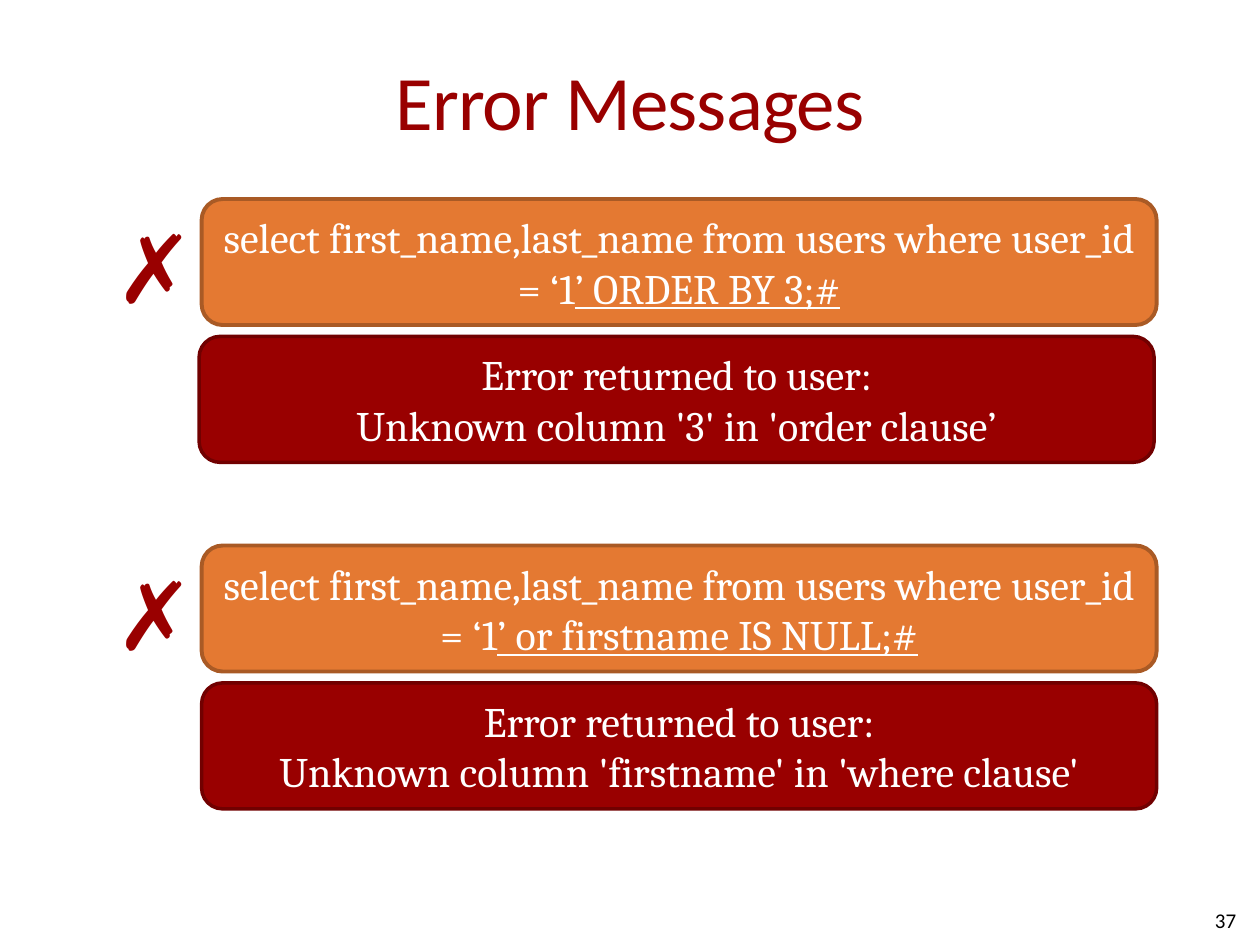
from dataclasses import dataclass

from pptx import Presentation
from pptx.dml.color import RGBColor as RGB
from pptx.enum.shapes import MSO_SHAPE as SHAPE
from pptx.enum.text import MSO_ANCHOR as ANCHOR, MSO_AUTO_SIZE as AUTO, PP_ALIGN as ALIGN
from pptx.util import Inches, Pt


@dataclass(frozen=True)
class Theme:
    red: str = "990000"
    dark_red: str = "710000"
    orange: str = "E47932"
    brown: str = "A95A25"
    white: str = "FFFFFF"
    black: str = "000000"
    heading_font: str = "Calibri"
    body_font: str = "Cambria"
    mark_font: str = "Arial"
    title_size: int = 44
    mark_size: int = 54
    body_size: int = 24
    number_size: int = 12


def add_run(p, text, *, font, size, color, underline=None, spacing=None):
    """Append a formatted run; spacing is in points."""
    r = p.add_run()
    r.text = text
    r.font.name = font
    r.font.size = Pt(size)
    r.font.color.rgb = RGB.from_string(color)
    r.font.underline = underline
    if spacing is not None:
        r.font._element.set("spc", str(int(spacing * 100)))
    return r


class SlideBuilder:
    def __init__(self, prs, theme):
        self.theme = theme
        self.slide = prs.slides.add_slide(prs.slide_layouts[5])

    def title(self, text):
        t = self.theme
        sp = self.slide.shapes.title
        sp.left, sp.top, sp.width, sp.height = map(Inches, (0.5, 0.17, 9, 1.25))
        tf = sp.text_frame
        tf.margin_left = tf.margin_right = 0
        tf.vertical_anchor = ANCHOR.MIDDLE
        p = tf.paragraphs[0]
        p.alignment = ALIGN.CENTER
        add_run(p, text, font=t.heading_font, size=t.title_size, color=t.red, spacing=-0.5)

    def panel(self, shapes, left, top, fill, line, line_width):
        """Add a rounded box and return its centred first paragraph."""
        sp = shapes.add_shape(SHAPE.ROUNDED_RECTANGLE, *map(Inches, (left, top, 7.58, 1)))
        sp.shadow.inherit = False
        sp.fill.solid()
        sp.fill.fore_color.rgb = RGB.from_string(fill)
        sp.line.color.rgb = RGB.from_string(line)
        sp.line.width = Pt(line_width)
        tf = sp.text_frame
        tf.word_wrap = True
        tf.vertical_anchor = ANCHOR.MIDDLE
        p = tf.paragraphs[0]
        p.alignment = ALIGN.CENTER
        return p

    def failed_query(self, top, query, injected):
        """Add a crossed-out query whose injected part is underlined."""
        t = self.theme
        shapes = self.slide.shapes.add_group_shape().shapes
        p = self.panel(shapes, 1.6, top, t.orange, t.brown, 2.25)
        style = dict(font=t.body_font, size=t.body_size, color=t.white)
        add_run(p, query, **style)
        add_run(p, injected, underline=True, **style)

        mark = shapes.add_textbox(*map(Inches, (0.82, top + 0.03, 0.64, 1.01)))
        tf = mark.text_frame
        tf.word_wrap = False
        tf.auto_size = AUTO.SHAPE_TO_FIT_TEXT
        add_run(tf.paragraphs[0], "✗", font=t.mark_font, size=t.mark_size, color=t.red)

    def error(self, left, top, message):
        t = self.theme
        p = self.panel(self.slide.shapes, left, top, t.red, t.dark_red, 2)
        style = dict(font=t.body_font, size=t.body_size, color=t.white)
        add_run(p, "Error returned to user:", **style)
        p.add_line_break()
        add_run(p, message, **style)

    def page_number(self, number):
        t = self.theme
        sp = self.slide.shapes.add_textbox(*map(Inches, (7.58, 7.1, 2.33, 0.4)))
        tf = sp.text_frame
        tf.word_wrap = True
        tf.vertical_anchor = ANCHOR.MIDDLE
        p = tf.paragraphs[0]
        p.alignment = ALIGN.RIGHT
        add_run(p, str(number), font=t.heading_font, size=t.number_size, color=t.black)


def main():
    prs = Presentation()
    prs.slide_width, prs.slide_height = Inches(10), Inches(7.5)
    builder = SlideBuilder(prs, Theme())
    builder.title("Error Messages")
    builder.page_number(37)

    query = "select first_name,last_name from users where user_id = ‘1"
    attempts = [
        (1.58, "’ ORDER BY 3;#", 1.58, "Unknown column '3' in 'order clause’"),
        (4.33, "’ or firstname IS NULL;#", 1.6, "Unknown column 'firstname' in 'where clause'"),
    ]
    for top, injected, error_left, message in attempts:
        builder.failed_query(top, query, injected)
        builder.error(error_left, top + 1.09, message)
    prs.save("out.pptx")


if __name__ == "__main__":
    main()
